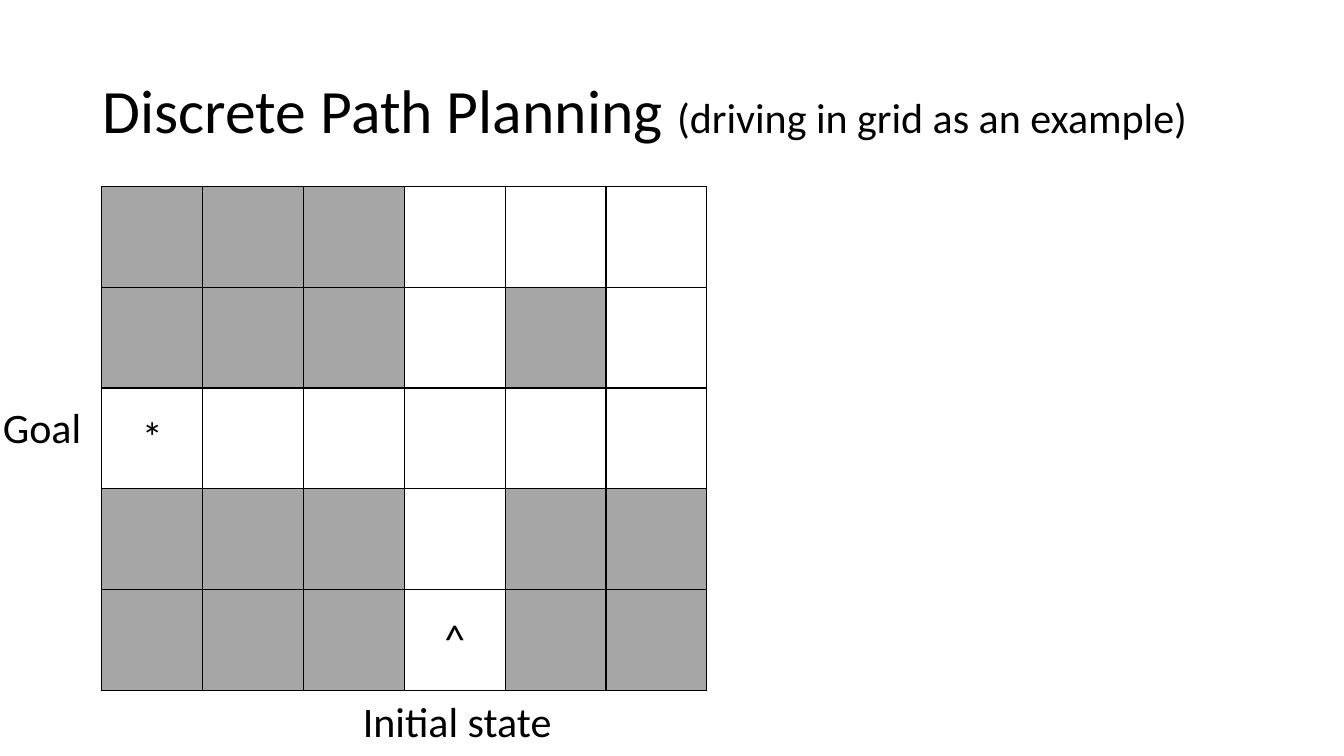
from lxml.etree import SubElement
from pptx import Presentation
from pptx.dml.color import RGBColor
from pptx.enum.text import MSO_ANCHOR, MSO_AUTO_SIZE, PP_ALIGN
from pptx.oxml.ns import qn
from pptx.util import Inches, Pt

BLACK = RGBColor(0x00, 0x00, 0x00)
FREE = RGBColor(0xFF, 0xFF, 0xFF)
BLOCKED = RGBColor(0xA6, 0xA6, 0xA6)
CELL_SIZE = 1

# '#' is a blocked cell, '.' a free one; any other sign is shown in a free cell
GRID_MAP = [
    "###...",
    "###.#.",
    "*.....",
    "###.##",
    "###^##",
]


def style_font(font, size):
    font.name = "Calibri"
    font.size = Pt(size)
    font.color.rgb = BLACK


def add_title(slide, left, top, width, height):
    title = slide.shapes.title
    title.left, title.top = Inches(left), Inches(top)
    title.width, title.height = Inches(width), Inches(height)
    title.text_frame.vertical_anchor = MSO_ANCHOR.MIDDLE
    heading = title.text_frame.paragraphs[0]
    heading.alignment = PP_ALIGN.LEFT
    heading.line_spacing = 0.9
    for words, size in [("Discrete Path Planning ", 44),
                        ("(driving in grid as an example)", 30)]:
        run = heading.add_run()
        run.text = words
        style_font(run.font, size)


def add_borders(cell):
    properties = cell._tc.get_or_add_tcPr()
    for side in ("a:lnL", "a:lnR", "a:lnT", "a:lnB"):
        line = SubElement(properties, qn(side), w=str(Pt(1)))
        fill = SubElement(line, qn("a:solidFill"))
        SubElement(fill, qn("a:srgbClr"), val=str(BLACK))


def add_grid(slide, left, top):
    rows, columns = len(GRID_MAP), len(GRID_MAP[0])
    grid = slide.shapes.add_table(
        rows, columns, Inches(left), Inches(top),
        Inches(columns * CELL_SIZE), Inches(rows * CELL_SIZE)).table
    grid.first_row = grid.horz_banding = False
    for row, signs in enumerate(GRID_MAP):
        for column, sign in enumerate(signs):
            cell = grid.cell(row, column)
            add_borders(cell)
            cell.fill.solid()
            cell.fill.fore_color.rgb = BLOCKED if sign == "#" else FREE
            if sign not in "#.":
                cell.text = sign
                cell.vertical_anchor = MSO_ANCHOR.MIDDLE
                marker = cell.text_frame.paragraphs[0]
                marker.alignment = PP_ALIGN.CENTER
                style_font(marker.font, 30)


def add_label(slide, words, left, top, width, height):
    frame = slide.shapes.add_textbox(
        Inches(left), Inches(top), Inches(width), Inches(height)).text_frame
    frame.word_wrap = False
    frame.auto_size = MSO_AUTO_SIZE.SHAPE_TO_FIT_TEXT
    frame.text = words
    style_font(frame.paragraphs[0].font, 30)


def main():
    presentation = Presentation()
    presentation.slide_width = Inches(13.33)
    presentation.slide_height = Inches(7.5)
    slide = presentation.slides.add_slide(presentation.slide_layouts[5])
    add_title(slide, 0.92, 0.4, 11.5, 1.45)
    add_grid(slide, 1.01, 1.85)
    add_label(slide, "Goal", -0.07, 3.93, 0.99, 0.61)
    add_label(slide, "Initial state", 3.5, 6.85, 2.09, 0.61)
    presentation.save("out.pptx")


if __name__ == "__main__":
    main()
